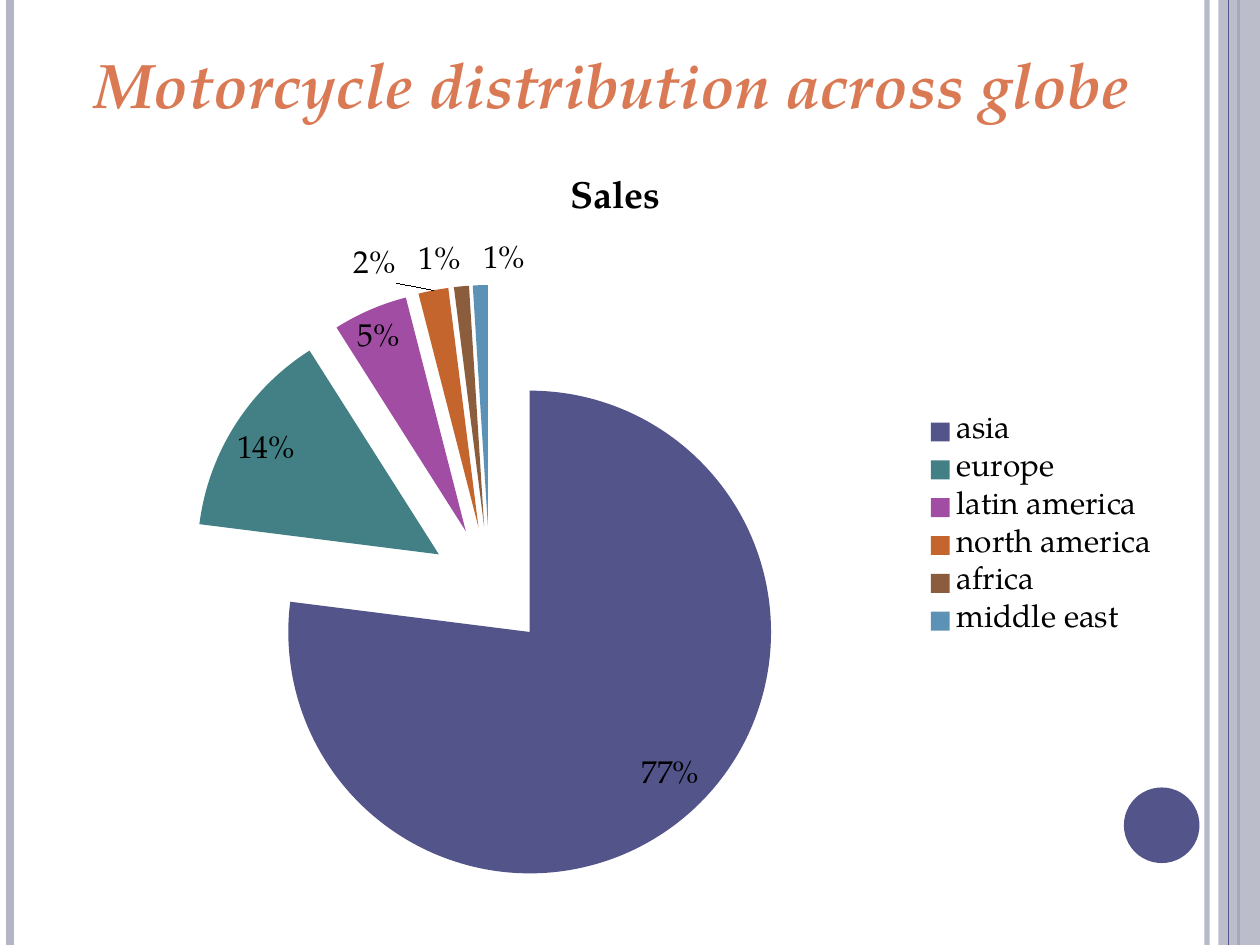
from dataclasses import dataclass
from typing import Optional

from lxml import etree
from pptx import Presentation
from pptx.chart.data import CategoryChartData
from pptx.dml.color import RGBColor
from pptx.enum import chart as charts, shapes, text
from pptx.oxml.ns import qn
from pptx.util import Inches, Pt


@dataclass(frozen=True)
class Theme:
    font: str = "TeX Gyre Pagella"
    ink: str = "000000"
    heading: str = "DA7A55"
    accent: str = "53548A"
    pale: str = "B3B4C4"
    heading_size: float = 36
    chart_title_size: float = 21.6
    chart_size: float = 18


@dataclass(frozen=True)
class Stripe:
    x: float
    color: str
    width: float
    opacity: Optional[int] = None


@dataclass(frozen=True)
class Region:
    name: str
    share: float
    color: str


THEME = Theme()
SLIDE_WIDTH, SLIDE_HEIGHT = 10, 7.5
EXPLOSION = 25

STRIPES_BEHIND_BAND = [
    Stripe(9.58, THEME.pale, 3, 93),
    Stripe(0.08, THEME.pale, 4.5),
    Stripe(9.83, THEME.accent, 1.5),
]
STRIPE_ON_BAND = Stripe(9.75, THEME.accent, 0.75)

REGIONS = [
    Region("asia", 0.77, THEME.accent),
    Region("europe", 0.14, "438086"),
    Region("latin america", 0.05, "A04DA3"),
    Region("north america", 0.02, "C4652D"),
    Region("africa", 0.01, "8B5D3D"),
    Region("middle east", 0.01, "5C92B5"),
]


def rgb(color: str) -> RGBColor:
    return RGBColor.from_string(color)


def set_opacity(shape, percent: int) -> None:
    for color in shape._element.iter(qn("a:srgbClr")):
        etree.SubElement(color, qn("a:alpha")).set("val", str(percent * 1000))


def style_font(font, size: float, color: str, bold: bool = False, italic: bool = False) -> None:
    font.name = THEME.font
    font.size = Pt(size)
    font.color.rgb = rgb(color)
    font.bold = bold
    font.italic = italic


def add_stripe(slide, stripe: Stripe) -> None:
    """Draw a vertical rule over the full slide height."""
    x = Inches(stripe.x)
    rule = slide.shapes.add_connector(
        shapes.MSO_CONNECTOR.STRAIGHT, x, 0, x, Inches(SLIDE_HEIGHT))
    rule.line.color.rgb = rgb(stripe.color)
    rule.line.width = Pt(stripe.width)
    etree.SubElement(rule._element.spPr, qn("a:effectLst"))
    if stripe.opacity is not None:
        set_opacity(rule, stripe.opacity)


def add_plain_shape(slide, kind, left: float, top: float, width: float, height: float, color: str):
    shape = slide.shapes.add_shape(
        kind, Inches(left), Inches(top), Inches(width), Inches(height))
    shape.shadow.inherit = False
    shape.fill.solid()
    shape.fill.fore_color.rgb = rgb(color)
    shape.line.fill.background()
    return shape


def add_decoration(slide) -> None:
    for stripe in STRIPES_BEHIND_BAND:
        add_stripe(slide, stripe)
    band = add_plain_shape(
        slide, shapes.MSO_SHAPE.RECTANGLE, 9.67, 0, 0.33, SLIDE_HEIGHT, THEME.pale)
    set_opacity(band, 87)
    add_stripe(slide, STRIPE_ON_BAND)
    add_plain_shape(slide, shapes.MSO_SHAPE.OVAL, 8.92, 6.25, 0.6, 0.6, THEME.accent)


def add_sales_pie(slide) -> None:
    sales = CategoryChartData(number_format="0%")
    sales.categories = [region.name for region in REGIONS]
    sales.add_series("Sales", [region.share for region in REGIONS])
    pie = slide.shapes.add_chart(
        charts.XL_CHART_TYPE.PIE, Inches(0.47), Inches(1.17),
        Inches(8.83), Inches(6.02), sales).chart
    style_font(pie.font, THEME.chart_size, THEME.ink)

    pie.has_title = True
    caption = pie.chart_title.text_frame
    caption.text = "Sales"
    style_font(caption.paragraphs[0].runs[0].font, THEME.chart_title_size, THEME.ink, bold=True)
    pie.chart_title.include_in_layout = False

    pie.has_legend = True
    pie.legend.position = charts.XL_LEGEND_POSITION.RIGHT
    pie.legend.include_in_layout = False
    style_font(pie.legend.font, THEME.chart_size, THEME.ink)

    pie.plots[0].vary_by_categories = True
    shares = pie.plots[0].series[0]
    explosion = etree.Element(qn("c:explosion"), val=str(EXPLOSION))
    shares.format.fill.solid()
    shares.format.fill.fore_color.rgb = rgb(THEME.accent)
    shares._element.find(qn("c:spPr")).addnext(explosion)
    for index, region in enumerate(REGIONS):
        slice_fill = shares.points[index].format.fill
        slice_fill.solid()
        slice_fill.fore_color.rgb = rgb(region.color)

    labels = shares.data_labels
    labels.show_value = True
    labels.number_format = "0%"
    labels.number_format_is_linked = False
    labels.position = charts.XL_LABEL_POSITION.BEST_FIT
    style_font(labels.font, THEME.chart_size, THEME.ink)


def add_heading(slide) -> None:
    heading = slide.shapes.add_textbox(
        Inches(0.31), Inches(0.31), Inches(9.22), Inches(0.71)).text_frame
    heading.word_wrap = True
    heading.auto_size = text.MSO_AUTO_SIZE.SHAPE_TO_FIT_TEXT
    heading.text = "Motorcycle distribution across globe "
    line = heading.paragraphs[0]
    line.alignment = text.PP_ALIGN.CENTER
    style_font(line.runs[0].font, THEME.heading_size, THEME.heading, bold=True, italic=True)


def main() -> None:
    deck = Presentation()
    deck.slide_width = Inches(SLIDE_WIDTH)
    deck.slide_height = Inches(SLIDE_HEIGHT)
    slide = deck.slides.add_slide(deck.slide_layouts[6])
    add_decoration(slide)
    add_sales_pie(slide)
    add_heading(slide)
    deck.save("out.pptx")


if __name__ == "__main__":
    main()
